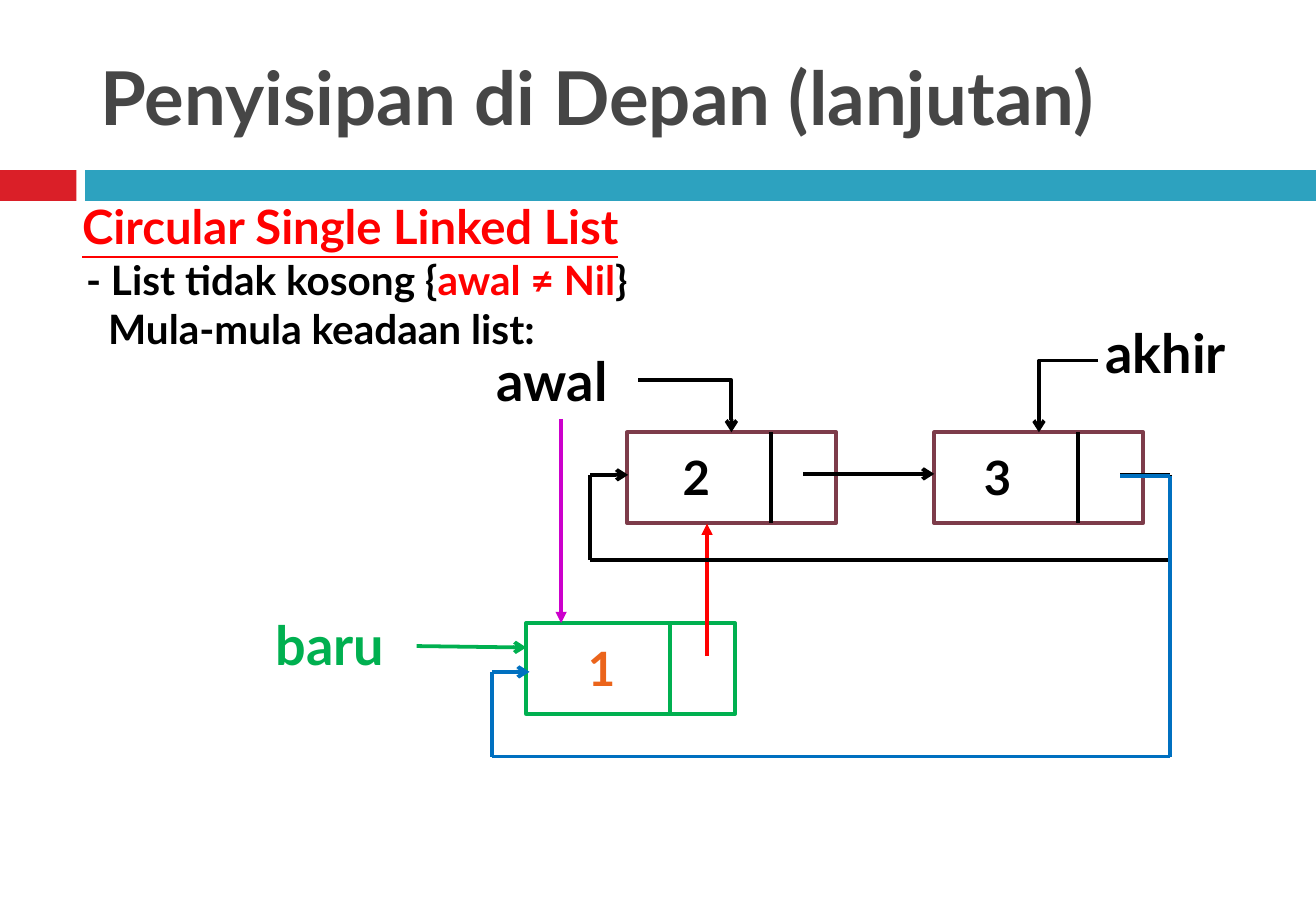
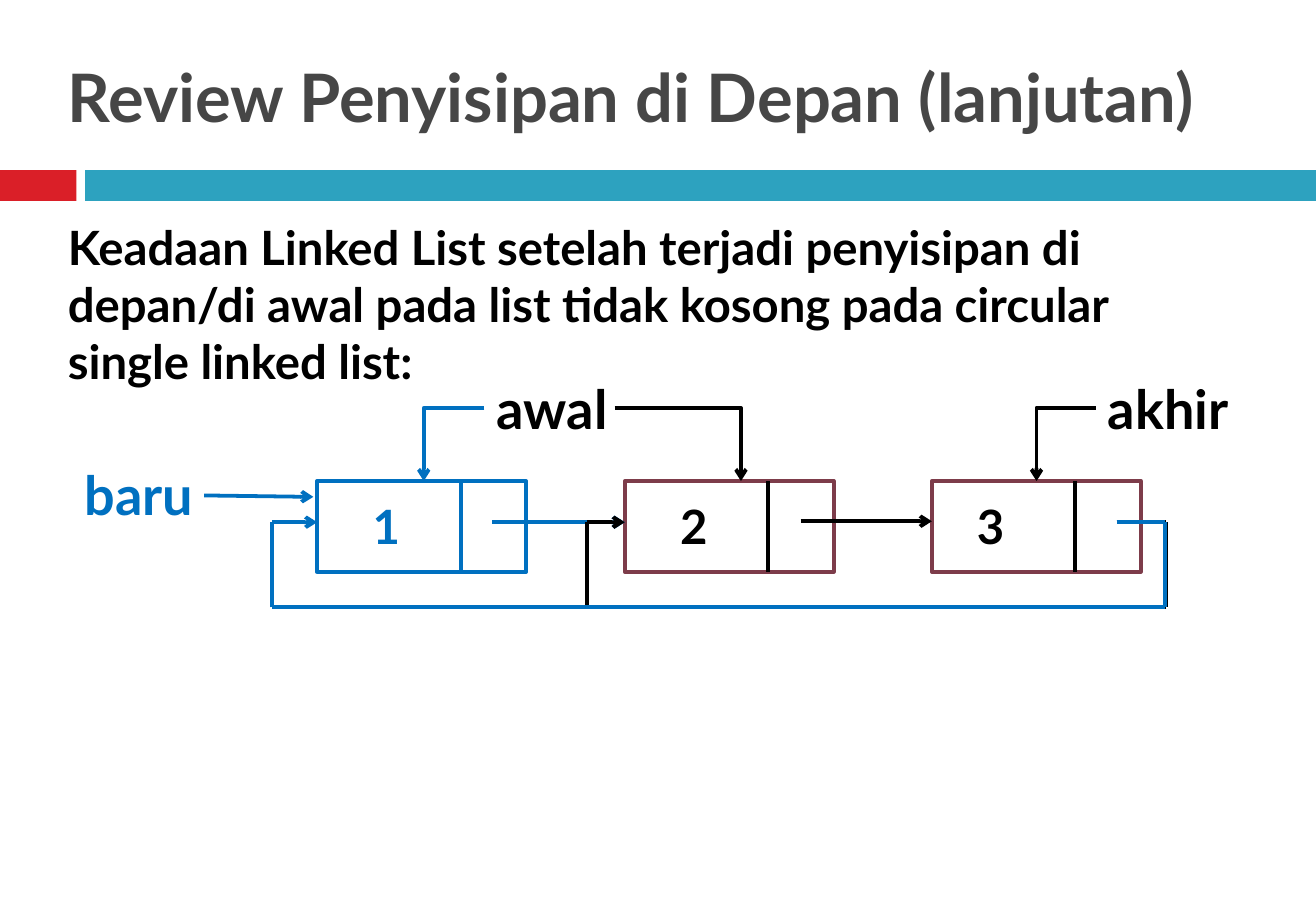
from itertools import pairwise

from lxml.etree import SubElement
from pptx import Presentation
from pptx.dml.color import RGBColor
from pptx.enum.shapes import MSO_CONNECTOR as LINK, MSO_SHAPE as SHAPE
from pptx.enum.text import MSO_ANCHOR as ANCHOR
from pptx.oxml.ns import qn
from pptx.util import Cm, Pt

BLACK = RGBColor(0x00, 0x00, 0x00)
WHITE = RGBColor(0xFF, 0xFF, 0xFF)
GREY = RGBColor(0x46, 0x46, 0x46)
CRIMSON = RGBColor(0xDA, 0x1F, 0x28)
TEAL = RGBColor(0x2D, 0xA2, 0xBF)
RED = RGBColor(0xFF, 0x00, 0x00)
GREEN = RGBColor(0x00, 0xB0, 0x50)
BLUE = RGBColor(0x00, 0x70, 0xC0)
ORANGE = RGBColor(0xEB, 0x64, 0x1B)
MAROON = RGBColor(0x7D, 0x3C, 0x4A)
PURPLE = RGBColor(0xCC, 0x00, 0xCC)

FONT = "Lato"
STROKE = Pt(2.25)
NODE_W, NODE_H, DATA_W = 4.37, 1.9, 3.0
BANDS = [(0, 1.6, CRIMSON), (1.78, 25.73, TEAL)]


def write(slide, box, lines, size):
    frame = slide.shapes.add_textbox(*map(Cm, box)).text_frame
    frame.word_wrap = True
    for number, line in enumerate(lines):
        paragraph = frame.add_paragraph() if number else frame.paragraphs[0]
        for words, colour in line:
            run = paragraph.add_run()
            run.text = words
            run.font.name = FONT
            run.font.size = Pt(size)
            run.font.bold = True
            run.font.color.rgb = colour
    return frame


def link(slide, start, end, colour, head=None, bent=False):
    kind = LINK.ELBOW if bent else LINK.STRAIGHT
    line = slide.shapes.add_connector(kind, *map(Cm, (*start, *end)))
    line.line.color.rgb = colour
    line.line.width = STROKE
    properties = line._element.spPr
    if bent:
        properties.find(qn("a:prstGeom")).set("prst", "bentConnector2")
    if head:
        SubElement(line.line._get_or_add_ln(), qn("a:tailEnd"), type=head)
    SubElement(properties, qn("a:effectLst"))


pages = [
    {
        "title": ("Penyisipan di Depan (lanjutan)", 1.85, 44),
        "nodes": [
            ("1", 11.0, 13.03, 1.04, GREEN, GREEN, ORANGE),
            ("2", 13.11, 9.04, 0.91, MAROON, BLACK, BLACK),
            ("3", 19.53, 9.04, 0.79, MAROON, BLACK, BLACK),
        ],
        "pointers": [
            ("baru", 5.51, 12.67, GREEN),
            ("awal", 10.13, 7.14, BLACK),
            ("akhir", 22.86, 6.55, BLACK),
        ],
        "arrows": [
            ((8.71, 13.51), (11.0, 13.54), GREEN, "arrow", False),
            ((22.96, 7.54), (21.72, 9.04), BLACK, "arrow", True),
            ((13.34, 7.95), (15.29, 9.04), BLACK, "arrow", True),
            ((16.79, 9.91), (19.53, 9.91), BLACK, "arrow", False),
            ((11.73, 8.76), (11.73, 13.03), PURPLE, "triangle", False),
            ((14.78, 13.72), (14.78, 10.95), RED, "triangle", False),
        ],
        "loops": [
            (BLACK, 23.42, 24.46, 12.34, 13.13, 9.93, 11.71, 9.93),
            (BLUE, 23.42, 24.46, 10.29, 11.07, 9.96, 15.82, 14.05),
        ],
    },
    {
        "title": ("Review Penyisipan di Depan (lanjutan)", 1.17, 39.6),
        "nodes": [
            ("1", 6.63, 10.06, 0.91, BLUE, BLUE, BLUE),
            ("2", 13.06, 10.06, 0.91, MAROON, BLACK, BLACK),
            ("3", 19.48, 10.06, 0.69, MAROON, BLACK, BLACK),
        ],
        "pointers": [
            ("baru", 1.52, 9.53, BLUE),
            ("awal", 10.13, 7.72, BLACK),
            ("akhir", 22.91, 7.72, BLACK),
        ],
        "arrows": [
            ((4.27, 10.36), (6.55, 10.39), BLUE, "arrow", False),
            ((22.91, 8.53), (21.67, 10.06), BLACK, "arrow", True),
            ((16.74, 10.9), (19.48, 10.9), BLACK, "arrow", False),
            ((10.29, 10.92), (13.06, 10.92), BLUE, "arrow", False),
            ((12.85, 8.53), (15.49, 10.06), BLACK, "arrow", True),
            ((10.13, 8.53), (8.86, 10.06), BLUE, "arrow", True),
        ],
        "loops": [
            (BLACK, 23.34, 24.38, 12.27, 13.06, 10.92, 12.7, 10.92),
            (BLUE, 23.34, 24.36, 5.69, 6.63, 10.92, 12.7, 10.92),
        ],
    },
]

deck = Presentation()
deck.slide_width, deck.slide_height = Cm(27.51), Cm(19.05)

for page in pages:
    slide = deck.slides.add_slide(deck.slide_layouts[6])
    for left, width, colour in BANDS:
        band = slide.shapes.add_shape(SHAPE.RECTANGLE, Cm(left), Cm(3.56), Cm(width), Cm(0.64))
        band.shadow.inherit = False
        band.fill.solid()
        band.fill.fore_color.rgb = colour
        band.line.fill.background()

    heading, left, size = page["title"]
    title = write(slide, (left, 0.64, 24.54, 2.74), [[(heading, GREY)]], size)
    title.vertical_anchor = ANCHOR.MIDDLE

    for value, left, top, inset, outline, divider, colour in page["nodes"]:
        node = slide.shapes.add_shape(SHAPE.RECTANGLE, Cm(left), Cm(top), Cm(NODE_W), Cm(NODE_H))
        node.shadow.inherit = False
        node.fill.solid()
        node.fill.fore_color.rgb = WHITE
        node.line.color.rgb = outline
        node.line.width = STROKE
        link(slide, (left + DATA_W, top), (left + DATA_W, top + NODE_H), divider)
        write(slide, (left + inset, top + 0.21, 1.6, 1.45), [[(value, colour)]], 28)

    for pointer, left, top, colour in page["pointers"]:
        write(slide, (left, top, 3.2, 1.63), [[(pointer, colour)]], 32)

    for arrow in page["arrows"]:
        link(slide, *arrow)

    for colour, start, right, left, end, top, bottom, entry in page["loops"]:
        corners = [(start, top), (right, top), (right, bottom),
                   (left, bottom), (left, entry), (end, entry)]
        for a, b in pairwise(corners):
            link(slide, a, b, colour, "arrow" if b == corners[-1] else None)

insertion, review = deck.slides
topic = write(insertion, (1.47, 4.01, 24.13, 1.45), [[("Circular Single Linked List", RED)]], 28)
topic.paragraphs[0].runs[0].font.underline = True
condition = write(insertion, (1.55, 5.21, 13.77, 2.31), [
    [("- List tidak kosong {", BLACK), ("awal ≠ Nil", RED), ("}", BLACK)],
    [("Mula-mula keadaan list:", BLACK)],
], 24)
condition.paragraphs[1]._p.get_or_add_pPr().set("marL", str(Cm(0.46)))
write(review, (1.17, 4.45, 24.87, 1.9), [[(
    "Keadaan Linked List setelah terjadi penyisipan di depan/di awal "
    "pada list tidak kosong pada circular single linked list:", BLACK)]], 28)

deck.save("out.pptx")
